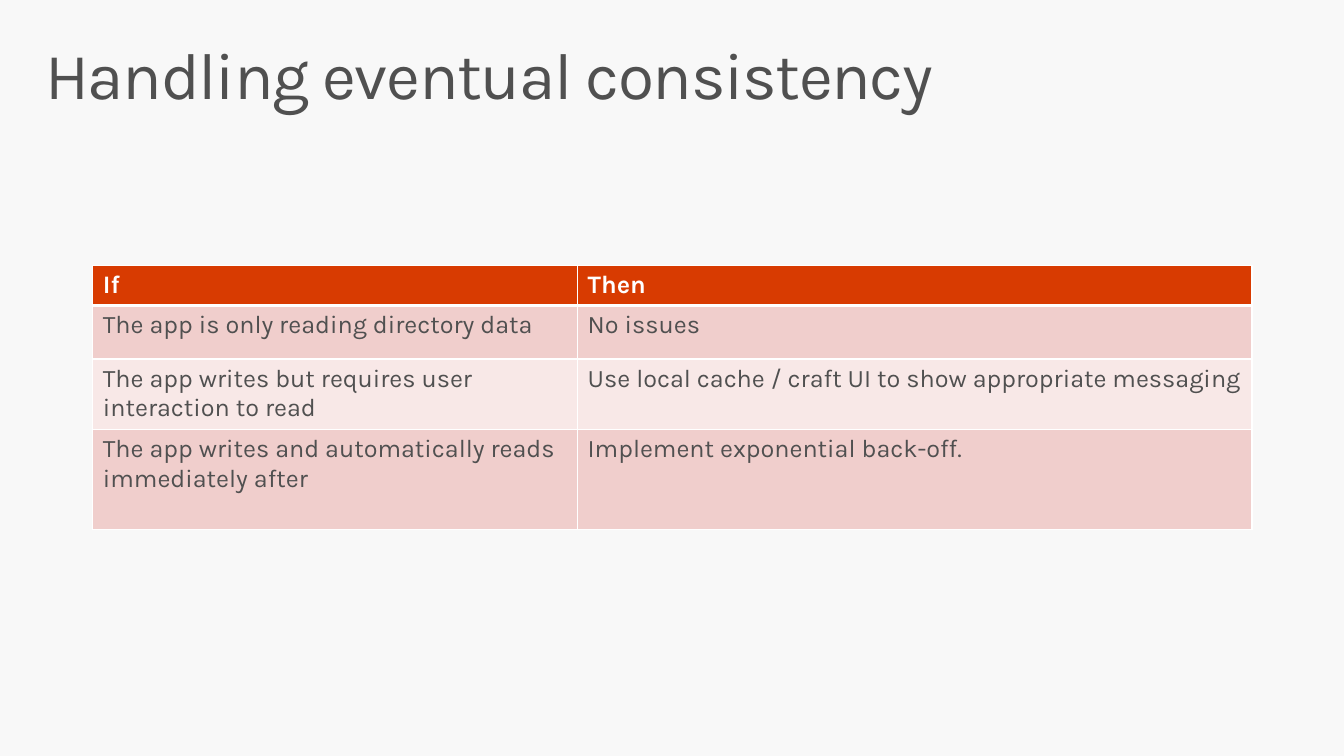
from lxml.etree import SubElement as Sub
from pptx import Presentation as Deck
from pptx.dml.color import RGBColor as RGB
from pptx.oxml.ns import qn
from pptx.util import Pt

FONT = "Karla"
PAPER = RGB(0xF8, 0xF8, 0xF8)
GREY = RGB(0x50, 0x50, 0x50)
WHITE = RGB(0xFF, 0xFF, 0xFF)
ORANGE = RGB(0xD8, 0x3B, 0x01)
ROSE = RGB(0xF0, 0xCE, 0xCC)
BLUSH = RGB(0xF8, 0xE8, 0xE7)

WIDTHS = [346.3, 481.7]
HEIGHTS = [22.3, 38.2, 38.2, 71.3]
ROWS = [
    ("If", "Then"),
    ("The app is only reading directory data", "No issues"),
    ("The app writes but requires user interaction to read",
     "Use local cache / craft UI to show appropriate messaging"),
    ("The app writes and automatically reads immediately after",
     "Implement exponential back-off."),
]


def style(para, size, color, bold=False):
    font = para.font
    font.name, font.size, font.bold = FONT, Pt(size), bold
    font.color.rgb = color


def add_title(slide, text):
    box = slide.shapes.add_textbox(Pt(20.9), Pt(23), Pt(918), Pt(70.6))
    frame = box.text_frame
    frame.word_wrap = True
    frame.margin_left = frame.margin_right = Pt(11.5)
    frame.margin_top = frame.margin_bottom = Pt(7.2)
    para = frame.paragraphs[0]
    para.line_spacing = 0.9
    run = para.add_run()
    run.text = text
    style(para, 47, GREY)
    # Tighten the letters by one point
    run.font._element.set("spc", "-100")


def add_edge(cell, side, width):
    props = cell._tc.get_or_add_tcPr()
    line = Sub(props, qn(f"a:ln{side}"), w=str(Pt(width)))
    fill = Sub(line, qn("a:solidFill"))
    Sub(fill, qn("a:srgbClr"), val=str(WHITE))


def fill_cell(cell, text, row):
    head = row == 0
    # Borders, with a thick rule under the header
    thick = {(0, "B"), (1, "T")}
    for side in "LRTB":
        add_edge(cell, side, 3 if (row, side) in thick else 1)
    cell.fill.solid()
    cell.fill.fore_color.rgb = ORANGE if head else ROSE if row % 2 else BLUSH
    cell.text = text
    style(cell.text_frame.paragraphs[0], 18, WHITE if head else GREY, head)


def add_grid(slide):
    frame = slide.shapes.add_table(len(ROWS), len(WIDTHS), Pt(66.3), Pt(189.4),
                                   Pt(sum(WIDTHS)), Pt(sum(HEIGHTS)))
    table = frame.table
    for col, width in zip(table.columns, WIDTHS):
        col.width = Pt(width)
    for r, (texts, height) in enumerate(zip(ROWS, HEIGHTS)):
        table.rows[r].height = Pt(height)
        for c, text in enumerate(texts):
            fill_cell(table.cell(r, c), text, r)


def main():
    deck = Deck()
    deck.slide_width, deck.slide_height = Pt(960), Pt(540)
    slide = deck.slides.add_slide(deck.slide_layouts[6])
    # Background
    slide.background.fill.solid()
    slide.background.fill.fore_color.rgb = PAPER
    # Content
    add_title(slide, "Handling eventual consistency")
    add_grid(slide)
    deck.save("out.pptx")


if __name__ == "__main__":
    main()
